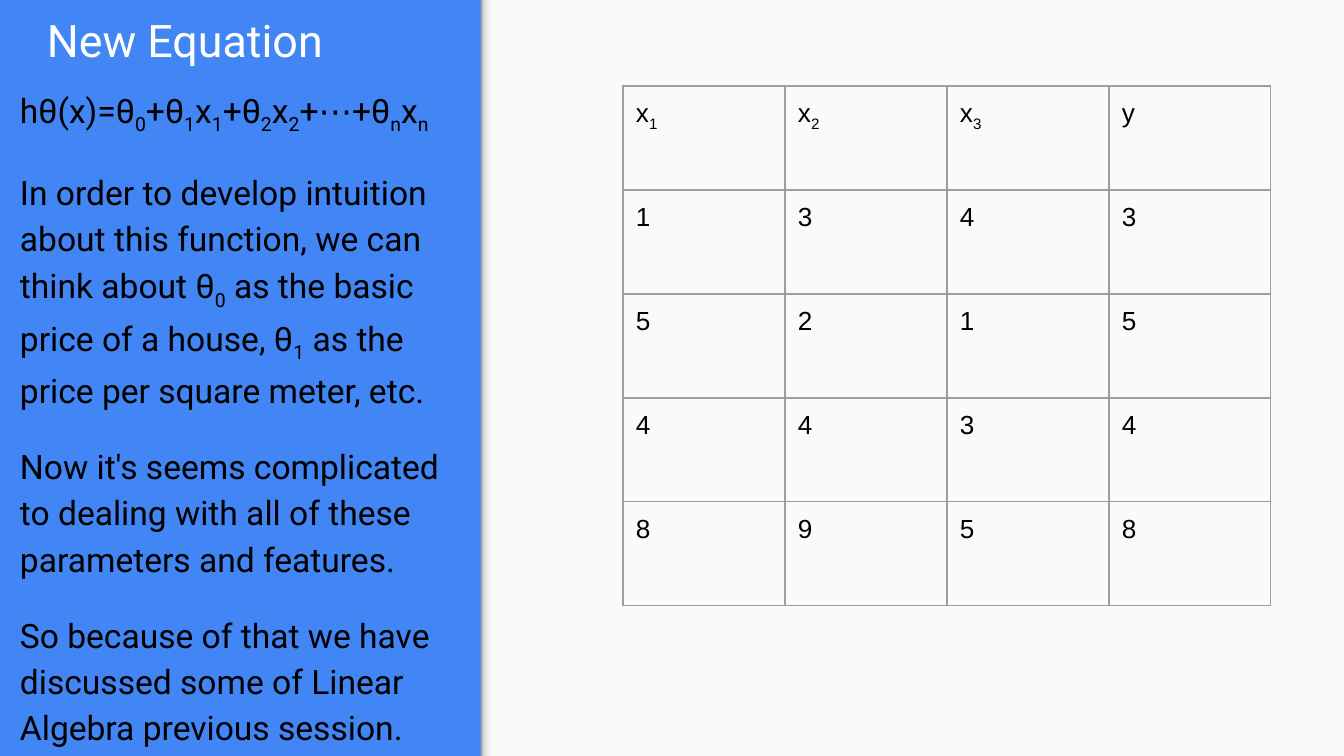
from lxml import etree
from pptx import Presentation
from pptx.dml.color import RGBColor
from pptx.enum.shapes import MSO_SHAPE
from pptx.enum.text import MSO_ANCHOR
from pptx.oxml.ns import qn
from pptx.util import Pt

RECT = MSO_SHAPE.RECTANGLE
TOP, BOTTOM = MSO_ANCHOR.TOP, MSO_ANCHOR.BOTTOM
WIDTH, HEIGHT = 1344, 756
SCALE = 914400 / 134.4
INSET = 13
SIDES = ("left", "top", "right", "bottom")


def px(n):
    return round(n * SCALE)


def rgb(code):
    return RGBColor.from_string(code)


def assign(target, values):
    for name, value in values.items():
        setattr(target, name, value)


def add(parent, tag, **attrs):
    return etree.SubElement(parent, qn(tag), attrs)


class Canvas:
    blue, paper, line = "4285F4", "FAFAFA", "9E9E9E"
    title = {"name": "Roboto", "size": Pt(24), "color": "FFFFFF"}
    body = {"name": "Roboto", "size": Pt(18), "color": "000000"}
    cell = {"name": "Arial", "size": Pt(14), "color": "000000"}

    def __init__(self, slide):
        self.slide = slide
        back = slide.background.fill
        back.solid()
        back.fore_color.rgb = rgb(self.blue)

    def runs(self, para, text, style):
        """Add text to a paragraph; the character after each _ is a subscript."""
        first, *rest = text.split("_")
        parts = [(first, False)]
        for part in rest:
            parts += [(part[0], True), (part[1:], False)]
        font = {k: v for k, v in style.items() if k != "color"}
        for words, low in parts:
            if not words:
                continue
            run = para.add_run()
            run.text = words
            assign(run.font, font)
            run.font.color.rgb = rgb(style["color"])
            if low:
                run.font._element.set("baseline", "-25000")

    def rect(self, x, y, w, h, color):
        shape = self.slide.shapes.add_shape(RECT, px(x), px(y), px(w), px(h))
        shape.shadow.inherit = False
        shape.line.fill.background()
        shape.fill.solid()
        shape.fill.fore_color.rgb = rgb(color)
        return shape

    def fade(self, x, y, w, h, stops):
        """Draw a rectangle shaded from left to right."""
        shape = self.rect(x, y, w, h, stops[0][1])
        shape.fill.gradient()
        shape.fill.gradient_angle = 0
        series = shape._element.spPr.find(qn("a:gradFill")).find(qn("a:gsLst"))
        for old in list(series):
            series.remove(old)
        for spot, color in stops:
            stop = add(series, "a:gs", pos=str(spot * 1000))
            add(stop, "a:srgbClr", val=color)

    def text(self, x, y, w, h, paras, style, anchor=TOP, **layout):
        box = self.slide.shapes.add_textbox(px(x), px(y), px(w), px(h))
        frame = box.text_frame
        assign(frame, {"word_wrap": True, "vertical_anchor": anchor})
        assign(frame, {f"margin_{side}": px(INSET) for side in SIDES})
        for i, text in enumerate(paras):
            para = frame.add_paragraph() if i else frame.paragraphs[0]
            assign(para, layout)
            if i:
                para.space_before = Pt(16)
            self.runs(para, text, style)

    def border(self, cell):
        props = cell._tc.get_or_add_tcPr()
        for side in "LRTB":
            edge = add(props, f"a:ln{side}", w=str(Pt(0.75)))
            add(add(edge, "a:solidFill"), "a:srgbClr", val=self.line)

    def table(self, x, y, wide, high, rows):
        count, cols = len(rows), len(rows[0])
        frame = self.slide.shapes.add_table(
            count, cols, px(x), px(y), px(wide * cols), px(high * count))
        grid = frame.table
        assign(grid, {"first_row": False, "horz_banding": False})
        for r, row in enumerate(rows):
            for c, text in enumerate(row):
                cell = grid.cell(r, c)
                assign(cell, {f"margin_{side}": px(INSET) for side in SIDES})
                self.border(cell)
                cell.fill.background()
                self.runs(cell.text_frame.paragraphs[0], text, self.cell)


def main():
    deck = Presentation()
    assign(deck, {"slide_width": px(WIDTH), "slide_height": px(HEIGHT)})
    art = Canvas(deck.slides.add_slide(deck.slide_layouts[6]))

    edge = 481
    art.rect(edge, 0, WIDTH - edge, HEIGHT, art.paper)
    art.fade(edge, 0, 16, HEIGHT, [
        (0, "999999"), (20, "DEDEDE"), (64, "F9F9F9"), (100, "F9F9F9")])
    art.text(34, 0, 412, 79, ["New Equation"], art.title, BOTTOM)
    art.text(7, 70, 472, 686, [
        "hθ(x)=θ_0+θ_1x_1+θ_2x_2+⋯+θ_nx_n",
        "In order to develop intuition about this function, we can think "
        "about θ_0 as the basic price of a house, θ_1 as the price per "
        "square meter, etc.",
        "Now it's seems complicated to dealing with all of these "
        "parameters and features.",
        "So because of that we have discussed some of Linear Algebra "
        "previous session.",
    ], art.body, line_spacing=1.15)
    art.table(623, 86, 162, 104, [
        ["x_1", "x_2", "x_3", "y"], "1343", "5215", "4434", "8958"])
    deck.save("out.pptx")


if __name__ == "__main__":
    main()
